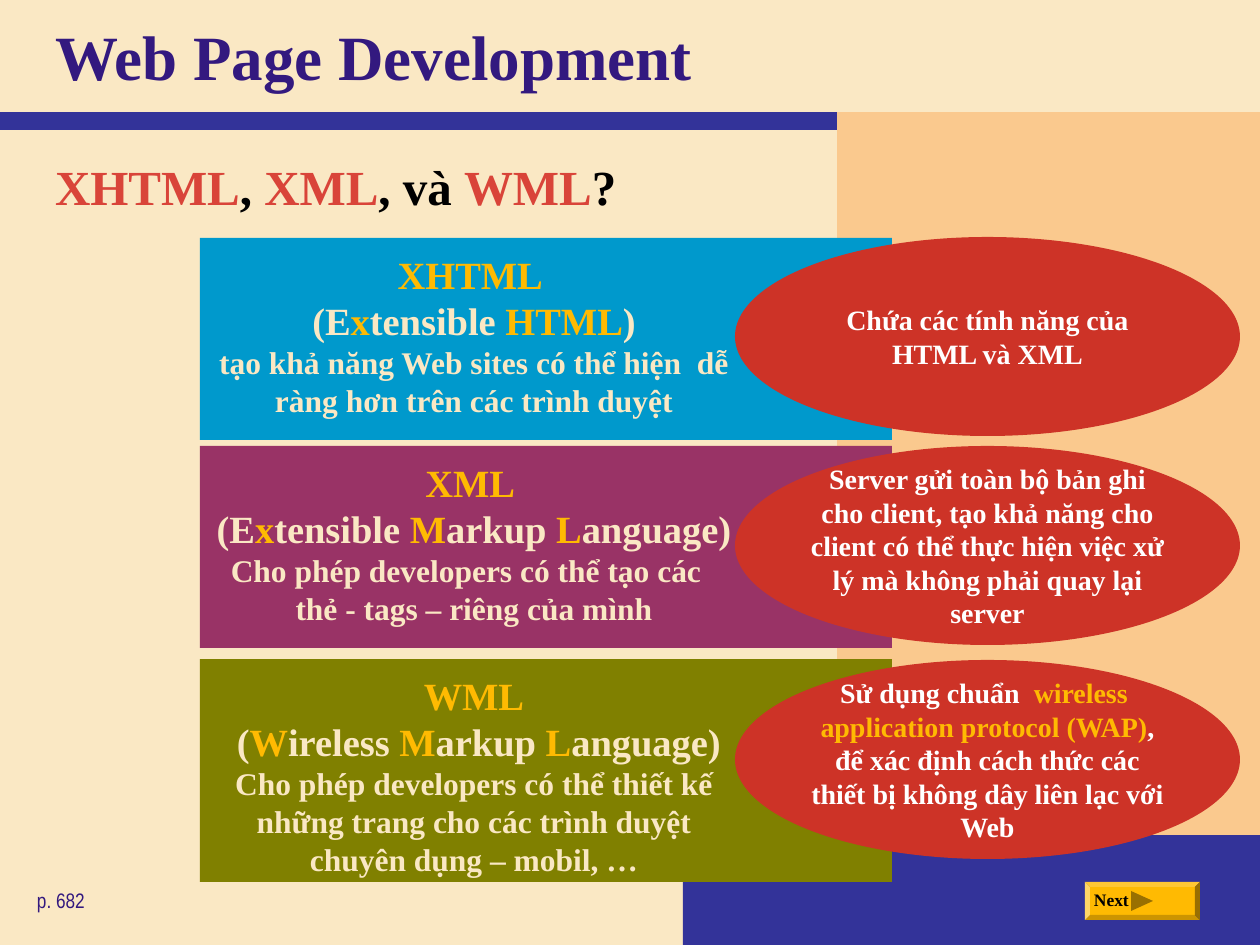
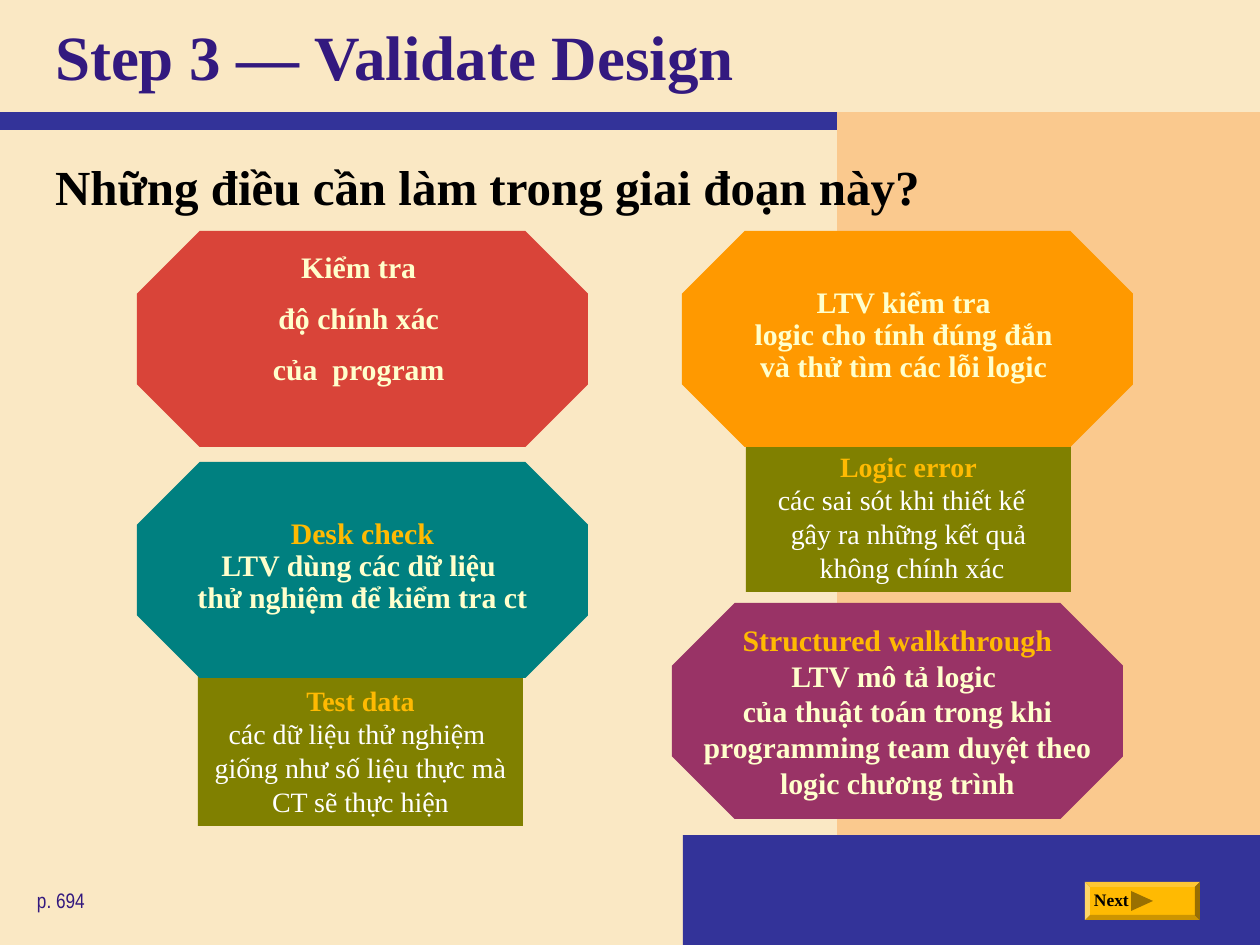
from lxml import etree
from pptx import Presentation
from pptx.dml.color import RGBColor
from pptx.enum.shapes import MSO_CONNECTOR, MSO_SHAPE
from pptx.enum.text import MSO_ANCHOR, MSO_AUTO_SIZE, PP_ALIGN
from pptx.oxml.ns import qn
from pptx.util import Emu, Pt

RECTANGLE, OVAL, OCTAGON = MSO_SHAPE.RECTANGLE, MSO_SHAPE.OVAL, MSO_SHAPE.OCTAGON
BEVEL, TRIANGLE = MSO_SHAPE.BEVEL, MSO_SHAPE.ISOSCELES_TRIANGLE
STRAIGHT = MSO_CONNECTOR.STRAIGHT
TOP, MIDDLE = MSO_ANCHOR.TOP, MSO_ANCHOR.MIDDLE
LEFT, CENTER = PP_ALIGN.LEFT, PP_ALIGN.CENTER
NO_FIT = MSO_AUTO_SIZE.NONE

CREAM = RGBColor(0xFA, 0xE8, 0xC4)
PEACH = RGBColor(0xFA, 0xC9, 0x8E)
INDIGO = RGBColor(0x33, 0x33, 0x99)
VIOLET = RGBColor(0x33, 0x19, 0x7F)
CORAL = RGBColor(0xD9, 0x44, 0x39)
RED = RGBColor(0xCD, 0x33, 0x27)
GOLD = RGBColor(0xFF, 0xBA, 0x02)
BRONZE = RGBColor(0x99, 0x70, 0x01)
ORANGE = RGBColor(0xFF, 0x99, 0x00)
BLUE = RGBColor(0x00, 0x99, 0xCC)
PLUM = RGBColor(0x99, 0x33, 0x66)
OLIVE = RGBColor(0x80, 0x80, 0x00)
TEAL = RGBColor(0x00, 0x80, 0x80)
PALE = RGBColor(0xFF, 0xFF, 0xCC)
WHITE = RGBColor(0xFF, 0xFF, 0xFF)
BLACK = RGBColor(0x00, 0x00, 0x00)

SERIF, NARROW = "Times New Roman", "Arial Narrow"
PX = 914400 / 126
SLIDE_SIZE = (1260, 945)
SMALL = {"size": Pt(18)}
PLAIN = {"bold": False}

TITLE_STYLE = {"size": 36, "anchor": MIDDLE}
QUESTION_STYLE = {"size": 28, "before": 7}
PAGE_STYLE = {"size": 12, "font": NARROW, "bold": False}
NEXT_STYLE = {"size": 10}
CARD_STYLE = {"size": 22, "align": CENTER, "insets": (13, 13, 157, 0)}
OVAL_STYLE = {"size": 16, "align": CENTER, "anchor": MIDDLE, "insets": (0, 0, 0, 0)}
NOTE_STYLE = {"size": 16, "align": CENTER, "anchor": MIDDLE}
OCTAGON_STYLE = {"size": 17, "align": CENTER, "anchor": MIDDLE, "insets": (0, 0, 0, 6),
                 "spacing": 0.9, "before": 10.6, "wrap": False}
RAISED_STYLE = OCTAGON_STYLE | {"insets": (0, 0, 0, 38)}
LOOSE_STYLE = OCTAGON_STYLE | {"insets": (0, 0, 0, 0), "spacing": 1.0}

LANGUAGES = [
    {"top": 238, "height": 202, "fill": BLUE, "oval_top": 237,
     "card": [("XHTML \n", GOLD), ("(E", CREAM), ("x", GOLD), ("tensible ", CREAM),
              ("HTML", GOLD), (")\n", CREAM),
              ("tạo khả năng Web sites có thể hiện  dễ ràng hơn trên các trình duyệt",
               CREAM, SMALL)],
     "remark": [("Chứa các tính năng của HTML và XML", WHITE)]},
    {"top": 446, "height": 202, "fill": PLUM, "oval_top": 446,
     "card": [("XML \n", GOLD), ("(E", CREAM), ("x", GOLD), ("tensible ", CREAM),
              ("M", GOLD), ("arkup ", CREAM), ("L", GOLD), ("anguage)\n", CREAM),
              ("Cho phép developers có thể tạo các  \nthẻ - tags – riêng của mình",
               CREAM, SMALL)],
     "remark": [("Server gửi toàn bộ bản ghi cho client, tạo khả năng cho client có thể "
                 "thực hiện việc xử lý mà không phải quay lại server", WHITE)]},
    {"top": 659, "height": 223, "fill": OLIVE, "oval_top": 660,
     "card": [("WML\n ", GOLD), ("(", CREAM), ("W", GOLD), ("ireless ", CREAM),
              ("M", GOLD), ("arkup ", CREAM), ("L", GOLD), ("anguage)\n", CREAM),
              ("Cho phép developers có thể thiết kế những trang cho các trình duyệt "
               "chuyên dụng – mobil, …", CREAM, SMALL)],
     "remark": [("Sử dụng chuẩn  ", WHITE),
                ("wireless \napplication protocol (WAP)", GOLD),
                (", để xác định cách thức các thiết bị không dây liên lạc với Web", WHITE)]},
]

NOTES = [
    (746, 441, [("Logic error\n", GOLD),
                ("các sai sót khi thiết kế  \ngây ra những kết quả\n không chính xác",
                 WHITE, PLAIN)]),
    (198, 675, [("Test data\n", GOLD),
                ("các dữ liệu thử nghiệm \ngiống như số liệu thực mà CT sẽ thực hiện",
                 WHITE, PLAIN)]),
]

CHECKS = [
    (137, 231, CORAL, RAISED_STYLE,
     [[("Kiểm tra ", PALE)], [("độ chính xác ", PALE)], [("của  program ", PALE)]]),
    (682, 231, ORANGE, OCTAGON_STYLE,
     [[("LTV kiểm tra \nlogic cho tính đúng đắn \nvà thử tìm các lỗi logic ", PALE)]]),
    (137, 462, TEAL, OCTAGON_STYLE,
     [[("Desk check\n", GOLD), ("LTV dùng các dữ liệu \nthử nghiệm để kiểm tra ct", PALE)]]),
    (672, 603, PLUM, LOOSE_STYLE,
     [[("Structured walkthrough\n", GOLD),
       ("LTV mô tả logic \ncủa thuật toán trong khi\n"
        "programming team duyệt theo\nlogic chương trình", PALE)]]),
]

PAGES = [
    {"title": "Web Page Development", "page": "p. 682",
     "question": [("XHTML", CORAL), (", ", BLACK), ("XML", CORAL), (", và ", BLACK),
                  ("WML", CORAL), ("?", BLACK)]},
    {"title": "Step 3 — Validate Design", "page": "p. 694",
     "question": [("Những điều cần làm trong giai đoạn này?", BLACK)]},
]


def px(*lengths):
    return [Emu(round(length * PX)) for length in lengths]


def set_all(target, values):
    for name, value in values.items():
        setattr(target, name, value)


def write(shape, paragraphs, size, font=SERIF, bold=True, align=LEFT, anchor=TOP,
          insets=(13, 6, 13, 6), before=0, spacing=1.0, wrap=True):
    frame = shape.text_frame
    margins = ("margin_left", "margin_top", "margin_right", "margin_bottom")
    set_all(frame, {"word_wrap": wrap, "auto_size": NO_FIT, "vertical_anchor": anchor,
                    **dict(zip(margins, px(*insets)))})
    for index, runs in enumerate(paragraphs):
        paragraph = frame.add_paragraph() if index else frame.paragraphs[0]
        set_all(paragraph, {"alignment": align, "line_spacing": spacing,
                            "space_before": Pt(before), "space_after": Pt(0)})
        for text, colour, *overrides in runs:
            values = {"name": font, "size": Pt(size), "bold": bold}
            for override in overrides:
                values |= override
            for position, line in enumerate(text.split("\n")):
                if position:
                    paragraph.add_line_break()
                if line:
                    run = paragraph.add_run()
                    run.text = line
                    set_all(run.font, values)
                    run.font.color.rgb = colour


def add_block(shapes, kind, box, fill):
    shape = shapes.add_shape(kind, *px(*box))
    shape.shadow.inherit = False
    shape.fill.solid()
    shape.fill.fore_color.rgb = fill
    shape.line.fill.background()
    return shape


def add_label(shapes, box, text, colour, style):
    write(shapes.add_textbox(*px(*box)), [[(text, colour)]], **style)


def decorate_master(master, slide):
    master.background.fill.solid()
    master.background.fill.fore_color.rgb = CREAM
    footer_band = add_block(slide.shapes, RECTANGLE, (683, 835, 577, 110), INDIGO)
    side_panel = add_block(slide.shapes, RECTANGLE, (837, 112, 423, 723), PEACH)
    title_rule = slide.shapes.add_connector(STRAIGHT, *px(0, 121, 837, 121))
    title_rule.line.color.rgb = INDIGO
    title_rule.line.width = Pt(10)
    etree.SubElement(title_rule.element.spPr, qn("a:effectLst"))
    for index, shape in enumerate((footer_band, side_panel, title_rule)):
        shape.element.xpath(".//p:cNvPr")[0].set("id", str(101 + index))
        master.shapes.element.insert(2 + index, shape.element)


def add_next_button(slide):
    button = slide.shapes.add_group_shape().shapes
    face = add_block(button, BEVEL, (1085, 882, 115, 38), GOLD)
    face.adjustments[0] = 0.13
    arrow = add_block(button, TRIANGLE, (1132, 890, 20, 22), BRONZE)
    arrow.rotation = 90
    add_label(button, (1081, 883, 64, 34), "Next", BLACK, NEXT_STYLE)


def fill_frame(slide, page):
    title, body = slide.shapes.title, slide.placeholders[1]
    for placeholder, box in ((title, (42, 0, 1183, 111)), (body, (42, 150, 1183, 91))):
        set_all(placeholder, dict(zip(("left", "top", "width", "height"), px(*box))))
    write(title, [[(page["title"], VIOLET)]], **TITLE_STYLE)
    write(body, [page["question"]], **QUESTION_STYLE)
    properties = body.text_frame.paragraphs[0]._p.get_or_add_pPr()
    properties.set("marL", "0")
    properties.set("indent", "0")
    etree.SubElement(properties, qn("a:buNone"))
    add_label(slide.shapes, (24, 882, 213, 38), page["page"], VIOLET, PAGE_STYLE)
    add_next_button(slide)


def add_languages(slide):
    for language in LANGUAGES:
        box = (200, language["top"], 692, language["height"])
        card = add_block(slide.shapes, RECTANGLE, box, language["fill"])
        write(card, [language["card"]], **CARD_STYLE)
    for language in LANGUAGES:
        remark = add_block(slide.shapes, OVAL, (735, language["oval_top"], 505, 199), RED)
        write(remark, [language["remark"]], **OVAL_STYLE)


def add_checks(slide):
    for left, top, runs in NOTES:
        note = add_block(slide.shapes, RECTANGLE, (left, top, 325, 151), OLIVE)
        write(note, [runs], **NOTE_STYLE)
    for left, top, fill, style, paragraphs in CHECKS:
        check = add_block(slide.shapes, OCTAGON, (left, top, 451, 216), fill)
        check.adjustments[0] = 0.29
        write(check, paragraphs, **style)


def main():
    presentation = Presentation()
    presentation.slide_width, presentation.slide_height = px(*SLIDE_SIZE)
    layout = presentation.slide_layouts[1]
    slides = [presentation.slides.add_slide(layout) for _ in PAGES]
    decorate_master(presentation.slide_master, slides[0])
    for slide, page, add_content in zip(slides, PAGES, (add_languages, add_checks)):
        fill_frame(slide, page)
        add_content(slide)
    presentation.save("out.pptx")


if __name__ == "__main__":
    main()
